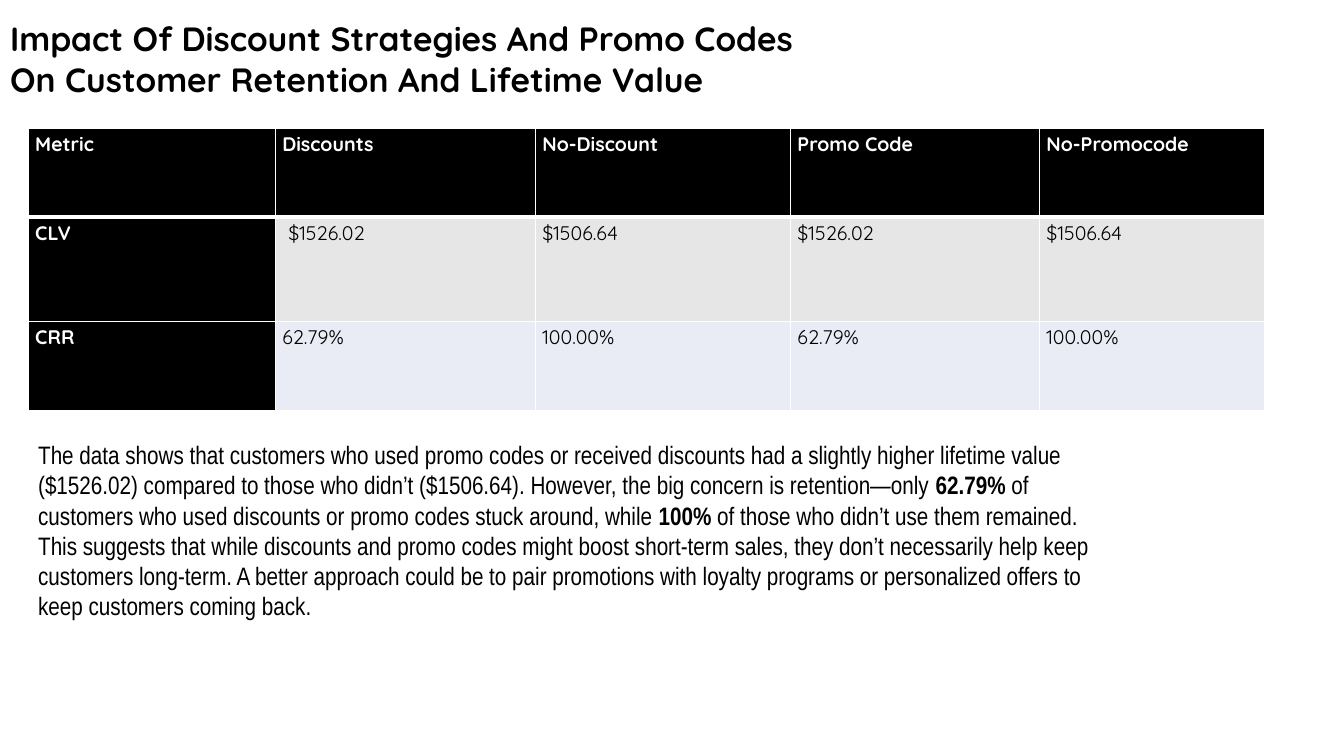
from pptx import Presentation
from pptx import util as u
from pptx.dml.color import RGBColor
from pptx.enum import text
from pptx.oxml import parse_xml
from pptx.oxml.ns import nsdecls

PX = 9144  # 100 px to the inch
BLACK = RGBColor(0x00, 0x00, 0x00)
WHITE = RGBColor(0xFF, 0xFF, 0xFF)
GREY = RGBColor(0xE7, 0xE6, 0xE6)
LAVENDER = RGBColor(0xE9, 0xEB, 0xF5)


def add_span(para, words, font, size, bold=False, color=BLACK):
    span = para.add_run()
    span.text = words
    span.font.name = font
    span.font.size = u.Pt(size)
    span.font.bold = bold
    span.font.color.rgb = color


def add_border(cell, side, points):
    """Draw a white line on one side (L, R, T or B) of a table cell."""
    cell._tc.get_or_add_tcPr().append(parse_xml(
        f'<a:ln{side} {nsdecls("a")} w="{u.Pt(points)}"><a:solidFill>'
        f'<a:srgbClr val="{WHITE}"/></a:solidFill></a:ln{side}>'))


deck = Presentation()
deck.slide_width, deck.slide_height = 1333 * PX, 750 * PX
page = deck.slides.add_slide(deck.slide_layouts[5])

# Metrics table
rows = [
    ["Metric", "Discounts", "No-Discount", "Promo Code", "No-Promocode"],
    ["CLV", "$1526.02", "$1506.64", "$1526.02", "$1506.64"],
    ["CRR", "62.79%", "100.00%", "62.79%", "100.00%"],
]
row_fills = [BLACK, GREY, LAVENDER]
column_widths = [245, 258, 253, 247, 223]
row_heights = [88, 104, 88]

table = page.shapes.add_table(
    len(rows), len(column_widths), 28 * PX, 127 * PX,
    sum(column_widths) * PX, sum(row_heights) * PX).table
table.first_col = True
for column, width in zip(table.columns, column_widths):
    column.width = width * PX
for row, height in zip(table.rows, row_heights):
    row.height = height * PX

for r, values in enumerate(rows):
    for c, value in enumerate(values):
        cell = table.cell(r, c)
        heading = r == 0 or c == 0
        cell.margin_left = cell.margin_right = 7 * PX
        cell.margin_top = cell.margin_bottom = 0
        for side in "LRTB":
            header_edge = (r, side) in [(0, "B"), (1, "T")]
            add_border(cell, side, 3 if header_edge else 1)
        cell.fill.solid()
        cell.fill.fore_color.rgb = BLACK if heading else row_fills[r]
        para = cell.text_frame.paragraphs[0]
        para.line_spacing = 1.15
        add_span(para, value, "Quicksand", 14, heading, WHITE if heading else BLACK)
table.cell(1, 1).margin_left = 13 * PX

# Findings
box = page.shapes.add_textbox(28 * PX, 431 * PX, 1088 * PX, 192 * PX)
box.text_frame.word_wrap = True
box.text_frame.auto_size = text.MSO_AUTO_SIZE.SHAPE_TO_FIT_TEXT
findings = [
    ("The data shows that customers who used promo codes or received discounts had a "
     "slightly higher lifetime value ($1526.02) compared to those who didn’t ($1506.64). "
     "However, the big concern is retention—only ", False),
    ("62.79%", True),
    (" of customers who used discounts or promo codes stuck around, while ", False),
    ("100%", True),
    (" of those who didn’t use them remained. This suggests that while discounts and "
     "promo codes might boost short-term sales, they don’t necessarily help keep "
     "customers long-term. A better approach could be to pair promotions with loyalty "
     "programs or personalized offers to keep customers coming back.", False),
]
for words, bold in findings:
    add_span(box.text_frame.paragraphs[0], words, "Arial Narrow", 18, bold)

# Title
title = page.shapes.title
title.left, title.top, title.width, title.height = 0, 13 * PX, 823 * PX, 91 * PX
title.text_frame.word_wrap = True
title.text_frame.auto_size = text.MSO_AUTO_SIZE.SHAPE_TO_FIT_TEXT
title.text_frame.vertical_anchor = text.MSO_ANCHOR.TOP
para = title.text_frame.paragraphs[0]
para.alignment = text.PP_ALIGN.LEFT
add_span(para, "Impact Of Discount Strategies And Promo Codes On Customer Retention "
         "And Lifetime Value", "Quicksand", 24, True)

deck.save("out.pptx")
